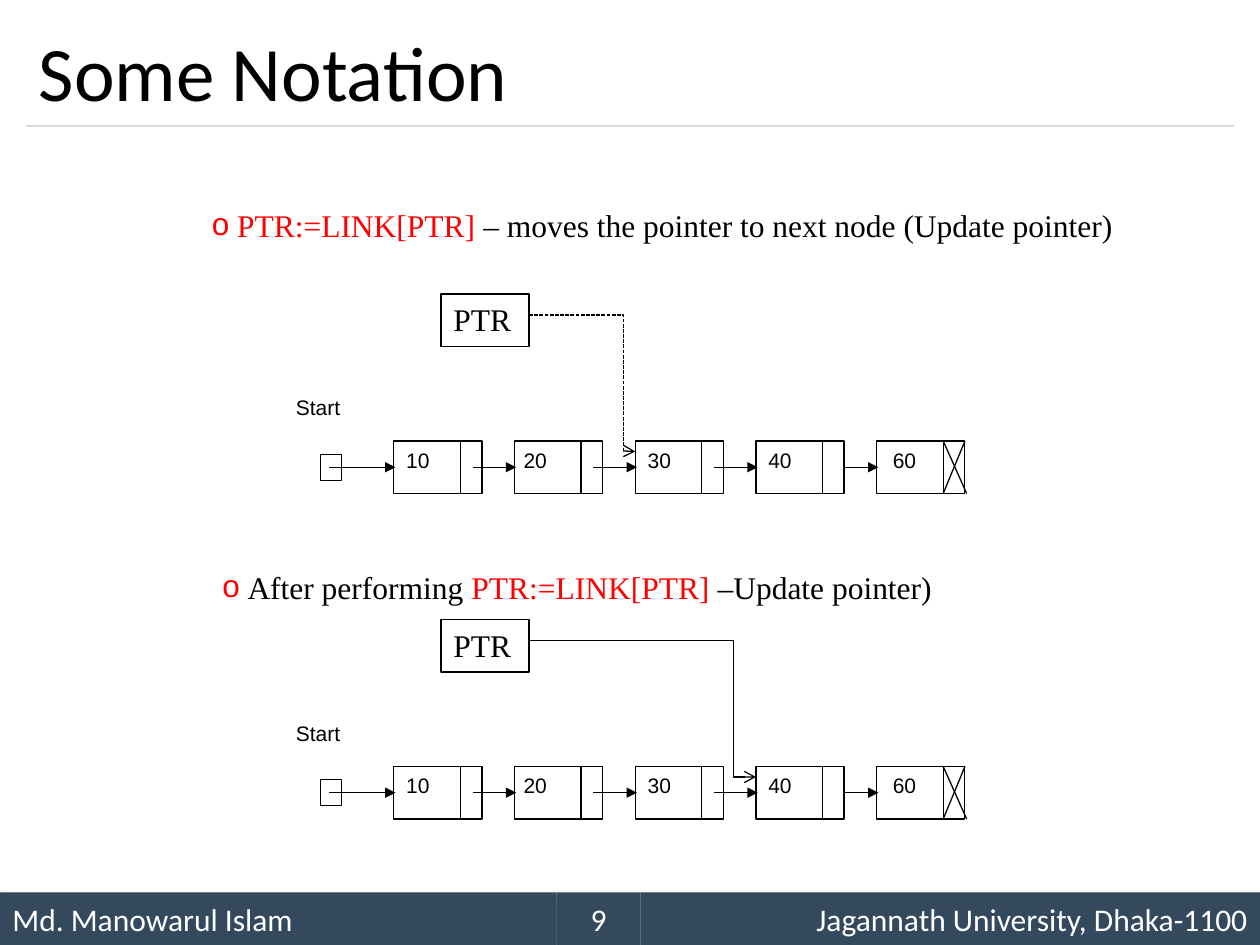
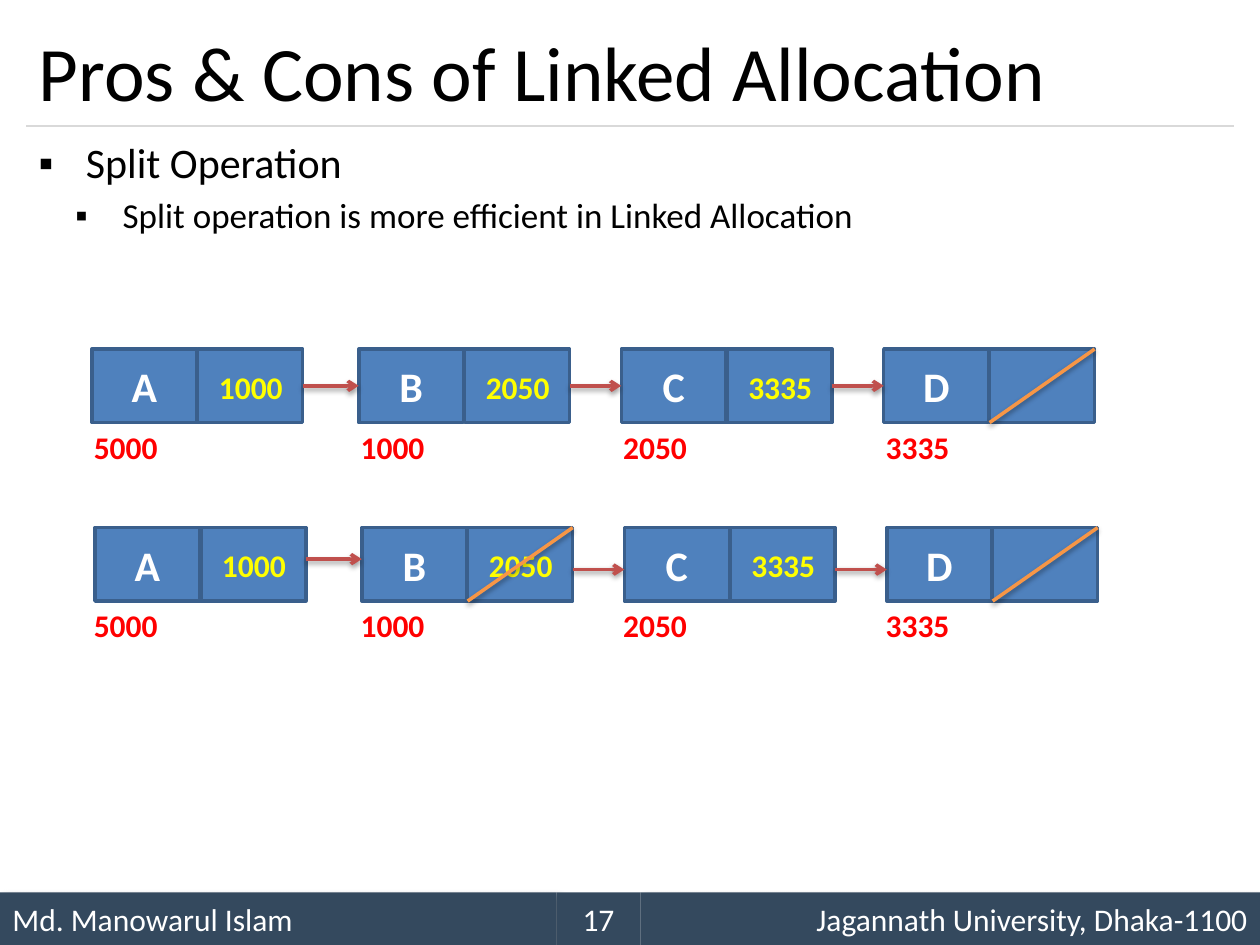
"""Build two lecture slides on linked lists: pointer notation and the split operation."""
from dataclasses import dataclass

from lxml.etree import SubElement
from pptx import Presentation
from pptx.dml.color import RGBColor
from pptx.enum.dml import MSO_LINE
from pptx.enum.shapes import MSO_CONNECTOR as CONN, MSO_SHAPE as SHAPE
from pptx.enum.text import MSO_ANCHOR as ANCHOR, MSO_AUTO_SIZE as AUTO, PP_ALIGN as ALIGN
from pptx.oxml.ns import qn
from pptx.util import Pt


@dataclass(frozen=True)
class Theme:
    """Colours, fonts, type sizes and shadows (opacity, blur, distance, angle)."""
    black: str = "000000"
    white: str = "FFFFFF"
    red: str = "FF0000"
    yellow: str = "FFFF00"
    band: str = "34495E"
    rule: str = "D9D9D9"
    cell: str = "4F81BD"
    cell_edge: str = "3A5F8C"
    arrow: str = "C0504D"
    slash: str = "F79646"
    sans: str = "Calibri"
    serif: str = "Times New Roman"
    plain: str = "Arial"
    title: int = 44
    head: int = 24
    sub: int = 20
    text: int = 18
    small: int = 12
    band_shadow: tuple = (40, 4, 3, 45)
    line_shadow: tuple = (38, 3.1, 1.6, 90)


T = Theme()

AUTHOR = "Md. Manowarul Islam"
SCHOOL = "Jagannath University, Dhaka-1100"

NOTATION = {"title": "Some Notation", "page": "9"}
NODE_VALUES = ["10", "20", "30", "40", "60"]
VALUE_SHIFTS = [0, -2, 0, 0, 2]
POINTER_STEPS = [
    {"box": (114, 114, 531, 51), "ptr_top": 168, "target": 2, "bend": 0.89, "dashed": True,
     "runs": [("PTR:=LINK[PTR] ", T.red),
              ("– moves the pointer to next node (Update pointer)", T.black)]},
    {"box": (120, 321, 424, 51), "ptr_top": 354, "target": 3, "bend": 0.9, "dashed": False,
     "runs": [("After performing ", T.black), ("PTR:=LINK[PTR] ", T.red),
              ("–Update pointer)", T.black)]},
]

SPLIT = {"title": "Pros & Cons of Linked Allocation", "page": "17"}
SPLIT_POINTS = [
    ("Split Operation", T.head, 27),
    ("Split operation is more efficient in Linked Allocation", T.sub, 48),
]
SPLIT_NODES = [("A", "5000", "1000", 52.5), ("B", "1000", "2050", 205),
               ("C", "2050", "3335", 355), ("D", "3335", "", 505)]
SPLIT_ROWS = [
    {"top": 199.5, "shift": 0, "ends": "D", "arrow_dy": [21, 21, 21]},
    {"top": 301.5, "shift": 1.75, "ends": "BD", "arrow_dy": [18, 24, 24]},
]


def rgb(code):
    """Turn a hex code into a colour."""
    return RGBColor.from_string(code)


def style(p, size, font=T.sans, color=T.black, bold=False):
    """Format every run of a paragraph."""
    for r in p.runs:
        r.font.size, r.font.name, r.font.bold = Pt(size), font, bold
        r.font.color.rgb = rgb(color)


def bullet(p, char, margin, hang, color):
    """Give a paragraph a hanging bullet."""
    pPr = p._p.get_or_add_pPr()
    pPr.set("marL", str(Pt(margin)))
    pPr.set("indent", str(-Pt(hang)))
    SubElement(SubElement(pPr, qn("a:buClr")), qn("a:srgbClr"), val=color)
    SubElement(pPr, qn("a:buFont"), typeface=T.plain)
    SubElement(pPr, qn("a:buChar"), char=char)


def set_shadow(sp, shadow=None):
    """Replace the inherited shadow with the given one, or with none."""
    spPr = sp._element.spPr
    effects = spPr.find(qn("a:effectLst"))
    if effects is None:
        effects = SubElement(spPr, qn("a:effectLst"))
    if shadow:
        alpha, blur, dist, angle = shadow
        outer = SubElement(effects, qn("a:outerShdw"), blurRad=str(Pt(blur)), dist=str(Pt(dist)),
                           dir=str(angle * 60000), rotWithShape="0")
        clr = SubElement(outer, qn("a:srgbClr"), val=T.black)
        SubElement(clr, qn("a:alpha"), val=str(alpha * 1000))


def add_box(s, x, y, w, h, fill=T.white, edge=T.black, width=0.75):
    """Add a rectangle without a shadow."""
    sp = s.shapes.add_shape(SHAPE.RECTANGLE, Pt(x), Pt(y), Pt(w), Pt(h))
    sp.shadow.inherit = False
    sp.fill.solid()
    sp.fill.fore_color.rgb = rgb(fill)
    if edge:
        sp.line.color.rgb = rgb(edge)
        sp.line.width = Pt(width)
    else:
        sp.line.fill.background()
    return sp


def write(sp, text, size, font=T.sans, color=T.black, bold=False, align=ALIGN.LEFT,
          anchor=ANCHOR.MIDDLE):
    """Put one formatted paragraph into a shape."""
    tf = sp.text_frame
    tf.text, tf.vertical_anchor = text, anchor
    p = tf.paragraphs[0]
    p.alignment = align
    style(p, size, font, color, bold)


def add_text(s, x, y, w, h, wrap=False):
    """Add an empty text box."""
    sp = s.shapes.add_textbox(Pt(x), Pt(y), Pt(w), Pt(h))
    sp.text_frame.word_wrap = wrap
    return sp


def add_line(s, start, end, color=T.black, width=0.75, head=None, shadow=None,
             kind=CONN.STRAIGHT, dashed=False):
    """Add a line, with an arrowhead at its end when head is given."""
    ln = s.shapes.add_connector(kind, *map(Pt, start + end))
    ln.line.color.rgb = rgb(color)
    ln.line.width = Pt(width)
    if dashed:
        ln.line.dash_style = MSO_LINE.SQUARE_DOT
    if head:
        SubElement(ln.line._get_or_add_ln(), qn("a:tailEnd"), type=head)
    set_shadow(ln, shadow)
    return ln


def new_slide(prs, title, page):
    """Add a slide with its title, rule and footer band."""
    s = prs.slides.add_slide(prs.slide_layouts[5])
    sp = s.shapes.title
    sp.left, sp.top, sp.width, sp.height = Pt(15), Pt(9), Pt(690), Pt(63)
    write(sp, title, T.title)
    sp.text_frame.auto_size = AUTO.NONE
    add_line(s, (15, 72), (705, 72), T.rule)
    for text, x, w, align, shadow in [(AUTHOR, 0, 318, ALIGN.LEFT, T.band_shadow),
                                      (SCHOOL, 366, 354, ALIGN.RIGHT, T.band_shadow),
                                      (page, 318, 48, ALIGN.CENTER, None)]:
        band = add_box(s, x, 510, w, 30, T.band, None)
        set_shadow(band, shadow)
        write(band, text, T.text, color=T.white, align=align)
    return s


def draw_pointer_step(s, step):
    """Draw one bullet line with its list and the PTR arrow."""
    sp = add_text(s, *step["box"])
    p = sp.text_frame.paragraphs[0]
    bullet(p, "o", 14.4, 14.4, T.red)
    for text, color in step["runs"]:
        r = p.add_run()
        r.text = text
        r.font.size, r.font.name = Pt(T.text), T.serif
        r.font.color.rgb = rgb(color)

    first, pitch, w, h, link = 225, 69, 50.4, 30, 38
    ptr_top = step["ptr_top"]
    top = ptr_top + 84
    mid, bottom = top + h / 2, top + h
    lefts = [first + pitch * i for i in range(len(NODE_VALUES))]
    for x, value, shift in zip(lefts, NODE_VALUES, VALUE_SHIFTS):
        node = add_box(s, x, top, w, h)
        node.text_frame.margin_left = Pt(7.2 + shift)
        write(node, value, T.small, T.plain, anchor=ANCHOR.TOP)
        add_line(s, (x + link, top), (x + link, bottom))

    add_box(s, 183, top + 7.5, 12, 15)
    add_line(s, (188, mid), (first + 1, mid), head="triangle")
    for i, x in enumerate(lefts[:-1]):
        tail = 45 if i < len(lefts) - 2 else w
        add_line(s, (x + tail, mid), (x + pitch + 1, mid), head="triangle")
    last = lefts[-1]
    add_line(s, (last + link, top), (last + w + 1, bottom))
    add_line(s, (last + w, top), (last + link, bottom))
    write(add_text(s, 162, top - 30, 63, 30, True), "Start", T.small, T.plain, anchor=ANCHOR.TOP)

    write(add_box(s, 252, ptr_top, w, h), "PTR", T.text, T.serif, anchor=ANCHOR.TOP)
    elbow = add_line(s, (252 + w, ptr_top + 12), (lefts[step["target"]], top + 6), head="arrow",
                     kind=CONN.ELBOW, dashed=step["dashed"])
    guides = elbow._element.spPr.find(qn("a:prstGeom")).get_or_add_avLst()
    SubElement(guides, qn("a:gd"), name="adj1", fmla=f"val {round(step['bend'] * 100000)}")


def draw_split_row(s, row):
    """Draw one chain of nodes with addresses, links and end marks."""
    w, h, step = 60, 42, 60.5
    top = row["top"]
    cells = []
    for name, address, link, base in SPLIT_NODES:
        x = base + row["shift"]
        data = add_box(s, x, top, w, h, T.cell, T.cell_edge, 2)
        write(data, name, T.head, color=T.white, bold=True, align=ALIGN.CENTER)
        cells.append((x, data, add_box(s, x + step, top, w, h, T.cell, T.cell_edge, 2)))
        labels = [(address, base - 6, top + 41.5, T.red)]
        if link:
            labels.append((link, x + 65.5, top + 7, T.yellow))
        for text, left, label_top, color in labels:
            write(add_text(s, left, label_top, 51, 29), text, T.text, color=color, bold=True,
                  anchor=ANCHOR.TOP)
        if name in row["ends"]:
            add_line(s, (x + step + w, top), (x + step, top + h), T.slash, 2,
                     shadow=T.line_shadow)

    for (x, _, link), (next_x, data, _), dy in zip(cells, cells[1:], row["arrow_dy"]):
        ln = add_line(s, (x + step + w, top + dy), (next_x, top + dy), T.arrow, 2, "arrow",
                      T.line_shadow)
        if dy == h / 2:
            ln.begin_connect(link, 3)
            ln.end_connect(data, 1)


def main():
    """Build and save the slides."""
    prs = Presentation()
    prs.slide_width, prs.slide_height = Pt(720), Pt(540)

    s = new_slide(prs, **NOTATION)
    for step in POINTER_STEPS:
        draw_pointer_step(s, step)

    s = new_slide(prs, **SPLIT)
    tf = add_text(s, 15, 78, 690, 78, True).text_frame
    for i, (text, size, margin) in enumerate(SPLIT_POINTS):
        p = tf.add_paragraph() if i else tf.paragraphs[0]
        p.text = text
        bullet(p, "▪", margin, 27, T.black)
        p.alignment, p.line_spacing = ALIGN.JUSTIFY, 0.9
        p.space_before = Pt(6 if i else 0)
        style(p, size)
    for row in SPLIT_ROWS:
        draw_split_row(s, row)

    prs.save("out.pptx")


if __name__ == "__main__":
    main()
